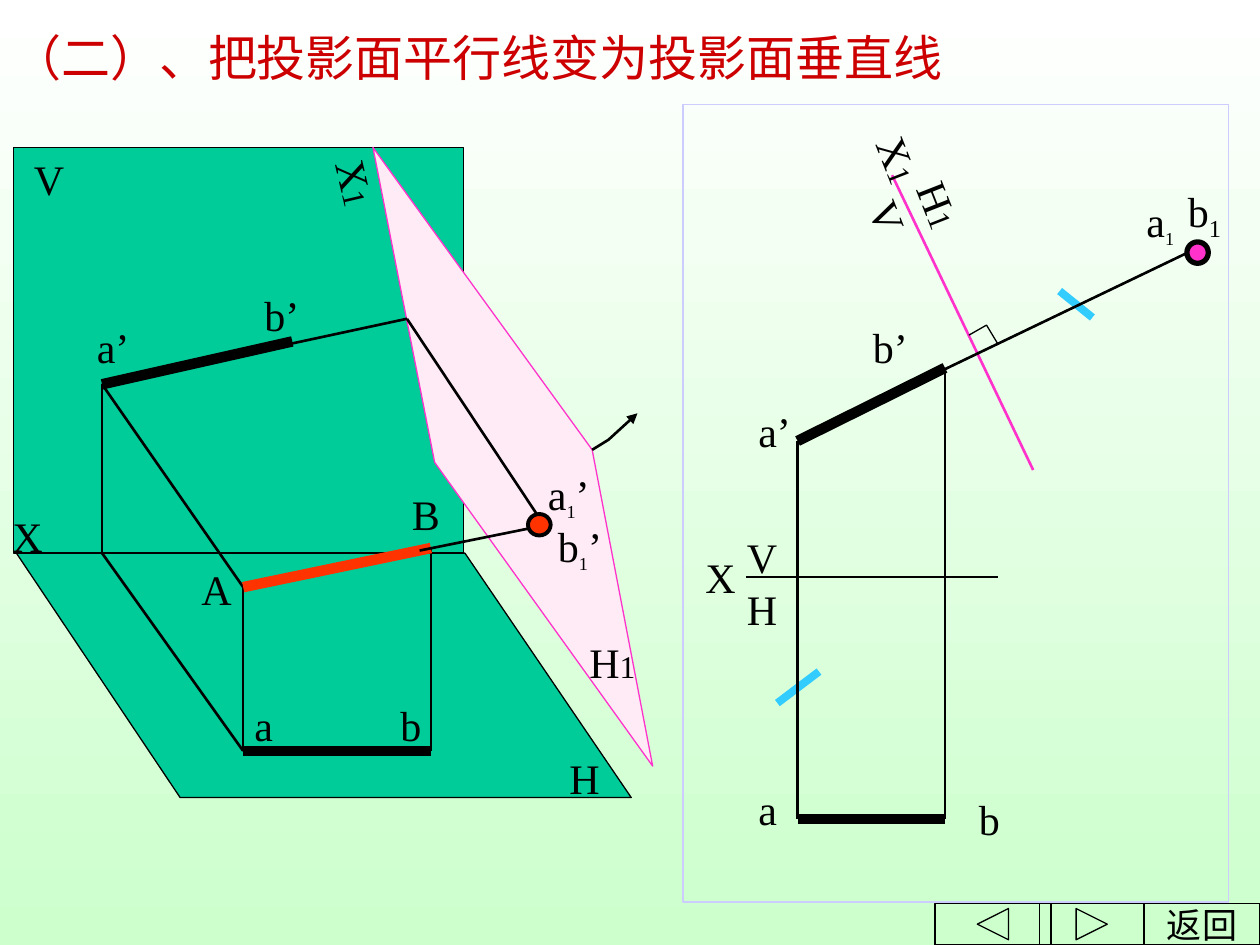
import pptx
import pptx.dml.color
import pptx.enum.shapes
import pptx.enum.text
import pptx.oxml
import pptx.oxml.ns
import pptx.util

Inches = pptx.util.Inches
Pt = pptx.util.Pt
RGBColor = pptx.dml.color.RGBColor
Shape = pptx.enum.shapes.MSO_SHAPE

BLACK = RGBColor(0x00, 0x00, 0x00)
WHITE = RGBColor(0xFF, 0xFF, 0xFF)
PALE_GREEN = RGBColor(0xCC, 0xFF, 0xCC)
TEAL = RGBColor(0x00, 0xCC, 0x99)
ORANGE = RGBColor(0xFF, 0x33, 0x00)
MAGENTA = RGBColor(0xFF, 0x33, 0xCC)
PALE_PINK = RGBColor(0xFF, 0xEB, 0xF6)
CYAN = RGBColor(0x33, 0xCC, 0xFF)
LAVENDER = RGBColor(0xCC, 0xCC, 0xFF)
RED = RGBColor(0xCC, 0x00, 0x00)

LATIN = "Times New Roman"
CJK = "Noto Sans CJK JP"
SMALL_ONE = ("1", 18, 0)
SUB_ONE = ("1", 18, -25)
LARGE_SUB_ONE = ("1", 24, -25)
THIN, MEDIUM, THICK = 0.75, 1.5, 6


def place(box, point):
    return Inches(box[0] + point[0]), Inches(box[1] + point[1])


def xml(tag, attributes=""):
    return pptx.oxml.parse_xml(f"<a:{tag} {pptx.oxml.ns.nsdecls('a')} {attributes}/>")


def paint(shape, fill, color, width):
    shape.shadow.inherit = False
    if fill is None:
        shape.fill.background()
    else:
        shape.fill.solid()
        shape.fill.fore_color.rgb = fill
    shape.line.color.rgb = color
    shape.line.width = Pt(width)
    return shape


def preset(slide, box, kind, corner, size, fill=None, color=BLACK, width=THIN):
    shape = slide.shapes.add_shape(kind, *place(box, corner), *map(Inches, size))
    return paint(shape, fill, color, width)


def outline(slide, box, points, close=False, fill=None, color=BLACK, width=THIN):
    start, *rest = [place(box, point) for point in points]
    builder = slide.shapes.build_freeform(*start)
    builder.add_line_segments(rest, close=close)
    return paint(builder.convert_to_shape(), fill, color, width)


def segment(slide, box, start, end, color=BLACK, width=MEDIUM):
    line = slide.shapes.add_connector(
        pptx.enum.shapes.MSO_CONNECTOR.STRAIGHT, *place(box, start), *place(box, end))
    line.line.color.rgb = color
    line.line.width = Pt(width)
    line._element.spPr.append(xml("effectLst"))


def write(paragraph, text, size, baseline=0, font=LATIN, color=BLACK):
    run = paragraph.add_run()
    run.text = text
    for name, value in {"name": font, "size": Pt(size)}.items():
        setattr(run.font, name, value)
    run.font.color.rgb = color
    properties = run._r.get_or_add_rPr()
    if baseline:
        properties.set("baseline", str(baseline * 1000))
    if font == CJK:
        properties.append(xml("ea", f'typeface="{font}"'))


def label(slide, box, parts, left, top, width, rotation=0):
    text = slide.shapes.add_textbox(*place(box, (left, top)), Inches(width), Inches(0.5))
    text.rotation = rotation
    text.text_frame.word_wrap = True
    for part in parts:
        write(text.text_frame.paragraphs[0], *(part if isinstance(part, tuple) else (part, 24)))


def add_background(slide):
    fill = slide.background.fill
    fill.gradient()
    fill.gradient_angle = 270
    for stop, color in zip(fill.gradient_stops, (WHITE, PALE_GREEN)):
        stop.color.rgb = color


def add_title(slide, box):
    title = slide.shapes.add_textbox(*map(Inches, box))
    title.text_frame.word_wrap = True
    write(title.text_frame.paragraphs[0], "（二）、把投影面平行线变为投影面垂直线", 28, font=CJK, color=RED)


def add_spatial_view(slide, box):
    a_front, b_front = (0.81, 1.88), (2.32, 1.54)
    a_space, b_space = (1.93, 3.49), (3.42, 3.18)
    a_floor, b_floor = (1.93, 4.79), (3.42, 4.79)
    a_axis, new_axis_foot, new_view = (0.81, 3.22), (3.23, 1.36), (4.32, 3)

    outline(slide, box, [(3.69, 3.22), (5.01, 5.16), (1.43, 5.16), (0.13, 3.22)], True, TEAL)
    preset(slide, box, Shape.RECTANGLE, (0.11, 0), (3.57, 3.22), TEAL)
    for start, end in [(a_front, a_axis), (a_axis, a_floor), (a_front, a_space), (a_space, a_floor)]:
        segment(slide, box, start, end)
    segment(slide, box, b_space, b_floor, width=THIN)
    for start, end, color in [(a_floor, b_floor, BLACK), (a_front, b_front, BLACK),
                              (a_space, b_space, ORANGE)]:
        segment(slide, box, start, end, color, THICK)

    outline(slide, box, [(2.96, 0), (3.45, 2.5), (5.18, 4.91), (4.7, 2.4)], True, PALE_PINK, MAGENTA)
    arrow = outline(slide, box, [(4.7, 2.4), (4.83, 2.32), (5.06, 2.11)], width=MEDIUM)
    arrow.line._get_or_add_ln().append(xml("tailEnd", 'type="triangle"'))

    for start, end in [(a_front, new_axis_foot), ((3.33, 3.2), new_view), (new_axis_foot, new_view)]:
        segment(slide, box, start, end)
    preset(slide, box, Shape.OVAL, (4.19, 2.91), (0.18, 0.17), ORANGE, width=2.25)

    for parts, left, top, width, *rotation in [
        (["V"], 0.17, 0, 0.54),
        (["H"], 4.42, 4.75, 0.4),
        (["X"], 0, 2.83, 0.42),
        (["a’"], 0.67, 1.33, 0.64),
        (["b’"], 2, 1.08, 0.64),
        (["A"], 1.5, 3.25, 0.4),
        (["B"], 3.17, 2.66, 0.4),
        (["a"], 1.92, 4.33, 0.64),
        (["b"], 3.08, 4.33, 0.64),
        (["H", SMALL_ONE], 4.58, 3.83, 0.73),
        (["X", SMALL_ONE], 2.54, 0.04, 0.58, 76.8),
        (["a", SUB_ONE, "’"], 4.25, 2.5, 0.56),
        (["b", SUB_ONE, "’"], 4.33, 2.91, 0.83),
    ]:
        label(slide, box, parts, left, top, width, *rotation)


def add_projection_view(slide, box):
    a_front, b_front = (0.91, 2.67), (2.08, 2.09)
    a_top, b_top = (0.91, 5.67), (2.08, 5.67)
    new_axis_tilt = 68.6

    preset(slide, box, Shape.RECTANGLE, (0, 0), box[2:], color=LAVENDER)
    segment(slide, box, (1.66, 0.56), (2.78, 2.9), MAGENTA)
    for start, end in [((2.99, 1.48), (3.25, 1.69)), ((1.08, 4.5), (0.75, 4.75))]:
        segment(slide, box, start, end, CYAN, 4.5)
    for start, end in [(a_top, b_top), (a_front, b_front)]:
        segment(slide, box, start, end, width=THICK)
    for start, end in [((0.5, 3.75), (2.5, 3.75)), (a_front, a_top), (b_front, b_top),
                       ((1.58, 2.34), (4.08, 1.14))]:
        segment(slide, box, start, end)
    preset(slide, box, Shape.OVAL, (4, 1.09), (0.17, 0.17), MAGENTA, width=3)
    outline(slide, box, [(2.27, 1.83), (2.41, 1.75), (2.5, 1.9)])

    for parts, left, top, width, *rotation in [
        (["X", SMALL_ONE], 1.33, 0.34, 0.89, new_axis_tilt),
        (["H", SMALL_ONE], 1.75, 0.55, 0.58, new_axis_tilt),
        (["V"], 1.37, 0.7, 0.57, new_axis_tilt),
        (["X"], 0.08, 3.5, 0.65),
        (["V"], 0.41, 3.34, 0.42),
        (["H"], 0.41, 3.75, 0.42),
        (["a’"], 0.5, 2.34, 0.5),
        (["a"], 0.5, 5.34, 0.5),
        (["b"], 2.25, 5.42, 0.5),
        (["b’"], 1.41, 1.67, 0.83),
        (["a", SUB_ONE], 3.58, 0.67, 0.56),
        (["b", LARGE_SUB_ONE], 3.91, 0.59, 0.67),
    ]:
        label(slide, box, parts, left, top, width, *rotation)


def add_navigation(slide, box):
    height = box[3]
    back = preset(slide, box, Shape.ACTION_BUTTON_CUSTOM, (1.66, 0), (0.92, height))
    preset(slide, box, Shape.ACTION_BUTTON_BACK_OR_PREVIOUS, (0, 0), (0.92, height))
    preset(slide, box, Shape.ACTION_BUTTON_FORWARD_OR_NEXT, (0.83, 0), (0.83, height))
    frame = back.text_frame
    frame.word_wrap = False
    frame.vertical_anchor = pptx.enum.text.MSO_ANCHOR.MIDDLE
    frame.paragraphs[0].alignment = pptx.enum.text.PP_ALIGN.CENTER
    write(frame.paragraphs[0], "返回", 20)


def main():
    deck = pptx.Presentation()
    deck.slide_width, deck.slide_height = Inches(10), Inches(7.5)
    slide = deck.slides.add_slide(deck.slide_layouts[6])
    add_background(slide)
    add_spatial_view(slide, (0, 1.17, 5.18, 5.16))
    add_projection_view(slide, (5.42, 0.83, 4.33, 6.33))
    add_title(slide, (0, 0.17, 10, 0.5))
    add_navigation(slide, (7.42, 7.17, 2.58, 0.33))
    deck.save("out.pptx")


if __name__ == "__main__":
    main()
